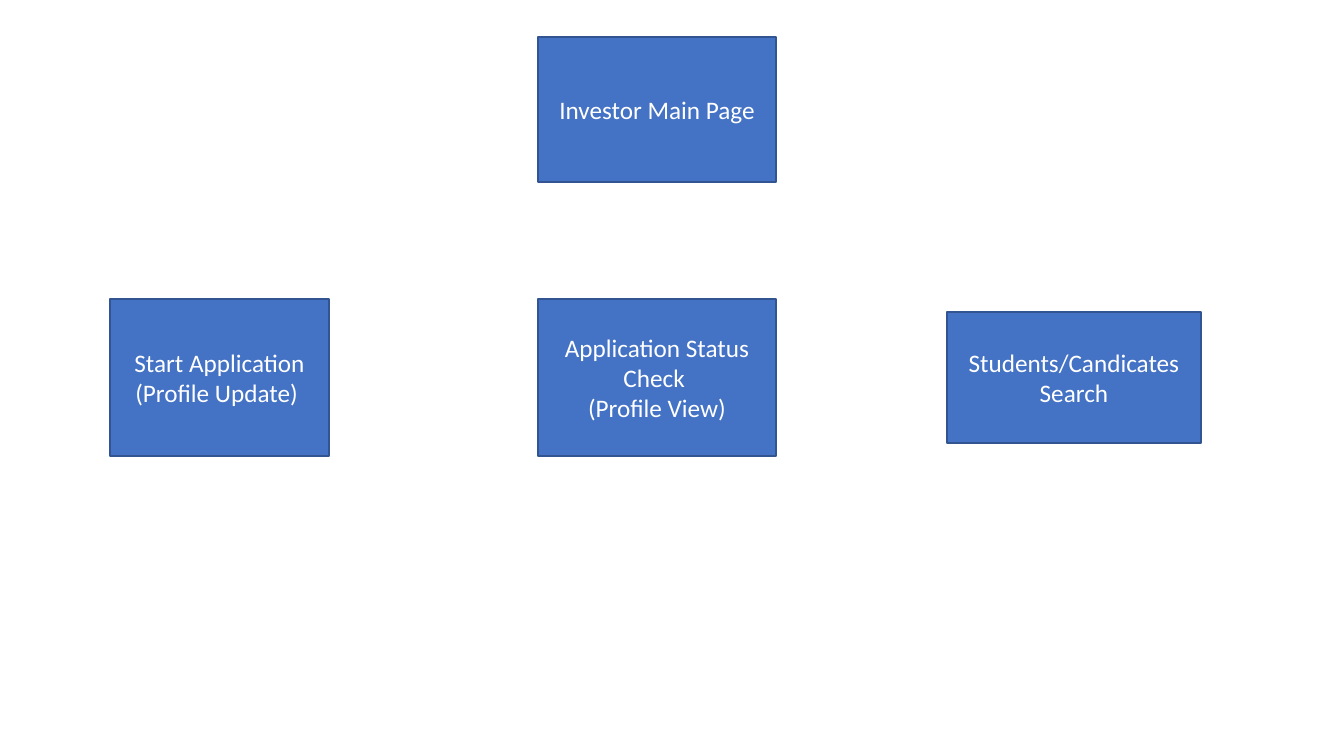
"""Build the investor page map: a main page box above three action buttons."""
import pptx
import pptx.dml.color
import pptx.enum.shapes
import pptx.enum.text
import pptx.util

PX = 914400 / 100.8
COLORS = {"fill": "4472C4", "border": "325491", "text": "FFFFFF"}
PAGE = pptx.enum.shapes.MSO_SHAPE.RECTANGLE
BUTTON = pptx.enum.shapes.MSO_SHAPE.ACTION_BUTTON_CUSTOM


def px(length):
    return pptx.util.Emu(round(length * PX))


def color(name):
    return pptx.dml.color.RGBColor.from_string(COLORS[name])


deck = pptx.Presentation()
deck.slide_width, deck.slide_height = px(1344), px(756)
page_map = deck.slides.add_slide(deck.slide_layouts[6])

steps = [
    (PAGE, (538, 37, 238, 145), ["Investor Main Page"]),
    (BUTTON, (110, 299, 219, 157), ["Start Application", "(Profile Update) "]),
    (BUTTON, (538, 299, 238, 157), ["Application Status Check ", "(Profile View)"]),
    (BUTTON, (947, 312, 254, 131), ["Students/Candicates Search"]),
]

for outline, bounds, lines in steps:
    step = page_map.shapes.add_shape(outline, *map(px, bounds))
    step.shadow.inherit = False
    step.fill.solid()
    step.fill.fore_color.rgb = color("fill")
    step.line.color.rgb = color("border")
    step.line.width = pptx.util.Pt(1)
    label = step.text_frame
    label.word_wrap = True
    label.vertical_anchor = pptx.enum.text.MSO_ANCHOR.MIDDLE
    for index, line in enumerate(lines):
        paragraph = label.add_paragraph() if index else label.paragraphs[0]
        paragraph.alignment = pptx.enum.text.PP_ALIGN.CENTER
        run = paragraph.add_run()
        run.text = line
        run.font.name = "Calibri"
        run.font.size = pptx.util.Pt(18)
        run.font.color.rgb = color("text")

deck.save("out.pptx")
